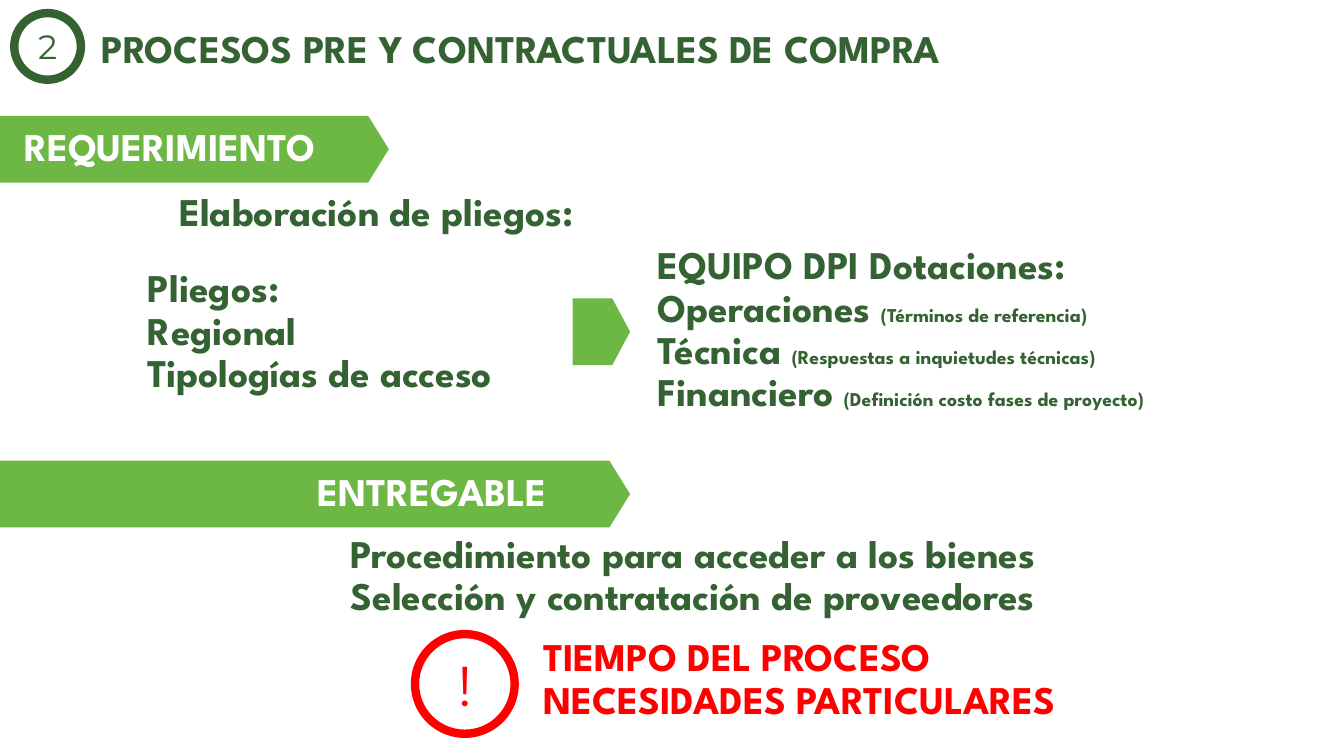
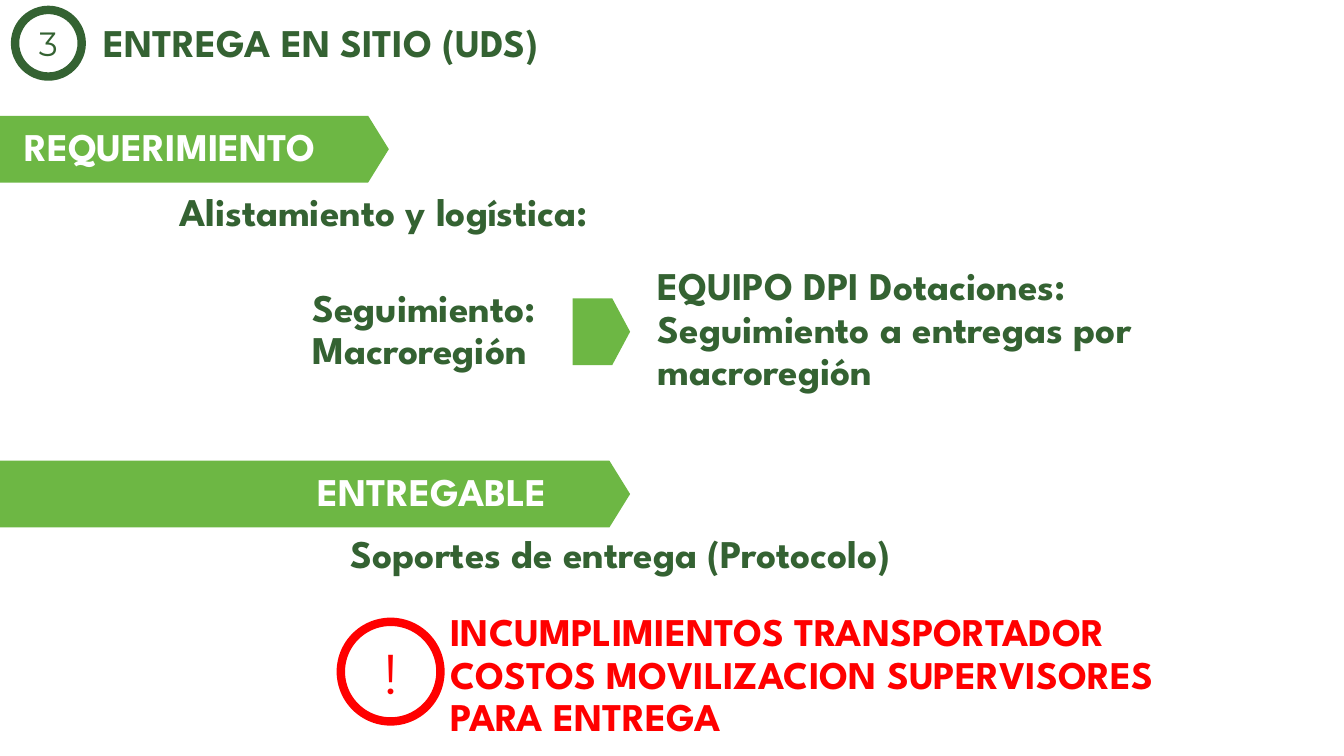
from dataclasses import dataclass

from pptx import Presentation
from pptx.dml.color import RGBColor
from pptx.enum.shapes import MSO_SHAPE
from pptx.enum.text import MSO_ANCHOR, MSO_AUTO_SIZE, PP_ALIGN
from pptx.slide import Slide
from pptx.util import Cm, Pt


@dataclass(frozen=True)
class Theme:
    green: RGBColor = RGBColor(0x6D, 0xB7, 0x44)
    dark: RGBColor = RGBColor(0x34, 0x62, 0x32)
    red: RGBColor = RGBColor(0xFF, 0x00, 0x00)
    white: RGBColor = RGBColor(0xFF, 0xFF, 0xFF)
    heading_font: str = "League Spartan"
    badge_font: str = "Montserrat"
    body_size: int = 28
    note_size: int = 14
    number_size: int = 24
    alert_size: int = 40
    ring_width: int = 6


THEME = Theme()
BAND_HEIGHT = 1.68
FIRST_LINE, NEXT_LINE = 1.35, 1.07  # height of a text block, by line


# Content types, lengths in cm
@dataclass(frozen=True)
class Line:
    text: str
    note: str = ""


@dataclass(frozen=True)
class Block:
    left: float
    top: float
    width: float
    lines: tuple[Line, ...]
    color: RGBColor = THEME.dark
    wrapped: int = 0  # extra lines made by wrapping


@dataclass(frozen=True)
class Band:
    left: float
    top: float
    width: float


@dataclass(frozen=True)
class Badge:
    left: float
    top: float
    size: float
    text: str
    text_size: int
    color: RGBColor


@dataclass(frozen=True)
class Stage:
    badges: tuple[Badge, ...]
    blocks: tuple[Block, ...]


def lines(*texts: str) -> tuple[Line, ...]:
    return tuple(Line(text) for text in texts)


def step_badge(left: float, top: float, number: str) -> Badge:
    return Badge(left, top, 1.68, number, THEME.number_size, THEME.dark)


def alert_badge(left: float, top: float) -> Badge:
    return Badge(left, top, 2.51, "!", THEME.alert_size, THEME.red)


# Parts found on every slide
BANDS = (Band(0, 2.92, 9.8), Band(0, 11.61, 15.88), Band(14.43, 7.52, 1.45))
BAND_LABELS = (
    Block(0.36, 3.1, 9.47, lines("REQUERIMIENTO"), THEME.white),
    Block(7.75, 11.79, 8.59, lines("ENTREGABLE"), THEME.white),
)

STAGES = (
    Stage(
        badges=(step_badge(0.36, 0.33, "2"), alert_badge(10.46, 15.98)),
        blocks=(
            Block(2.31, 0.61, 27, lines("PROCESOS PRE Y CONTRACTUALES DE COMPRA")),
            Block(4.27, 4.72, 24.16, lines("Elaboración de pliegos:")),
            Block(3.48, 6.65, 10.72,
                  lines("Pliegos:", "Regional", "Tipologías de acceso")),
            Block(16.33, 6.07, 16.92, (
                Line("EQUIPO DPI Dotaciones:"),
                Line("Operaciones ", "(Términos de referencia)"),
                Line("Técnica ", "(Respuestas a inquietudes técnicas)"),
                Line("Financiero ", "(Definición costo fases de proyecto)"),
            )),
            Block(8.59, 13.34, 24.16,
                  lines("Procedimiento para acceder a los bienes",
                        "Selección y contratación de proveedores")),
            Block(13.44, 15.95, 17.75,
                  lines("TIEMPO DEL PROCESO", "NECESIDADES PARTICULARES"),
                  THEME.red),
        ),
    ),
    Stage(
        badges=(step_badge(0.38, 0.25, "3"), alert_badge(8.59, 15.67)),
        blocks=(
            Block(2.36, 0.46, 24.16, lines("ENTREGA EN SITIO (UDS)")),
            Block(4.27, 4.72, 24.16, lines("Alistamiento y logística:")),
            Block(7.62, 7.14, 10.72, lines("Seguimiento:", "Macroregión")),
            Block(16.33, 6.6, 13.28,
                  lines("EQUIPO DPI Dotaciones:",
                        "Seguimiento a entregas por macroregión"), wrapped=1),
            Block(8.59, 13.34, 24.16, lines("Soportes de entrega (Protocolo)")),
            Block(11.1, 15.32, 20.09,
                  lines("INCUMPLIMIENTOS TRANSPORTADOR",
                        "COSTOS MOVILIZACION SUPERVISORES PARA ENTREGA"),
                  THEME.red, wrapped=1),
        ),
    ),
)


def draw_band(slide: Slide, band: Band) -> None:
    arrow = slide.shapes.add_shape(
        MSO_SHAPE.PENTAGON, Cm(band.left), Cm(band.top),
        Cm(band.width), Cm(BAND_HEIGHT))
    arrow.adjustments[0] = 0.31
    arrow.shadow.inherit = False
    arrow.fill.solid()
    arrow.fill.fore_color.rgb = THEME.green
    arrow.line.fill.background()


def draw_badge(slide: Slide, badge: Badge) -> None:
    ring = slide.shapes.add_shape(
        MSO_SHAPE.OVAL, Cm(badge.left), Cm(badge.top),
        Cm(badge.size), Cm(badge.size))
    ring.shadow.inherit = False
    ring.fill.solid()
    ring.fill.fore_color.rgb = THEME.white
    ring.line.color.rgb = badge.color
    ring.line.width = Pt(THEME.ring_width)
    frame = ring.text_frame
    frame.text = badge.text
    frame.vertical_anchor = MSO_ANCHOR.MIDDLE
    paragraph = frame.paragraphs[0]
    paragraph.alignment = PP_ALIGN.CENTER
    font = paragraph.runs[0].font
    font.name = THEME.badge_font
    font.size = Pt(badge.text_size)
    font.color.rgb = badge.color


def draw_block(slide: Slide, block: Block) -> None:
    height = FIRST_LINE + NEXT_LINE * (len(block.lines) + block.wrapped - 1)
    frame = slide.shapes.add_textbox(
        Cm(block.left), Cm(block.top), Cm(block.width), Cm(height)).text_frame
    frame.word_wrap = True
    frame.auto_size = MSO_AUTO_SIZE.SHAPE_TO_FIT_TEXT
    frame.text = "\n".join(line.text for line in block.lines)
    for paragraph, line in zip(frame.paragraphs, block.lines):
        paragraph.line_spacing = 0.9
        if line.note:
            paragraph.add_run().text = line.note
        for run, size in zip(paragraph.runs, (THEME.body_size, THEME.note_size)):
            run.font.name = THEME.heading_font
            run.font.size = Pt(size)
            run.font.bold = True
            run.font.color.rgb = block.color


def draw_stage(slide: Slide, stage: Stage) -> None:
    for band in BANDS:
        draw_band(slide, band)
    for badge in stage.badges:
        draw_badge(slide, badge)
    for block in BAND_LABELS + stage.blocks:
        draw_block(slide, block)


def main() -> None:
    deck = Presentation()
    deck.slide_width, deck.slide_height = Cm(33.87), Cm(19.05)
    blank = deck.slide_layouts[6]
    for stage in STAGES:
        draw_stage(deck.slides.add_slide(blank), stage)
    deck.save("out.pptx")


if __name__ == "__main__":
    main()
